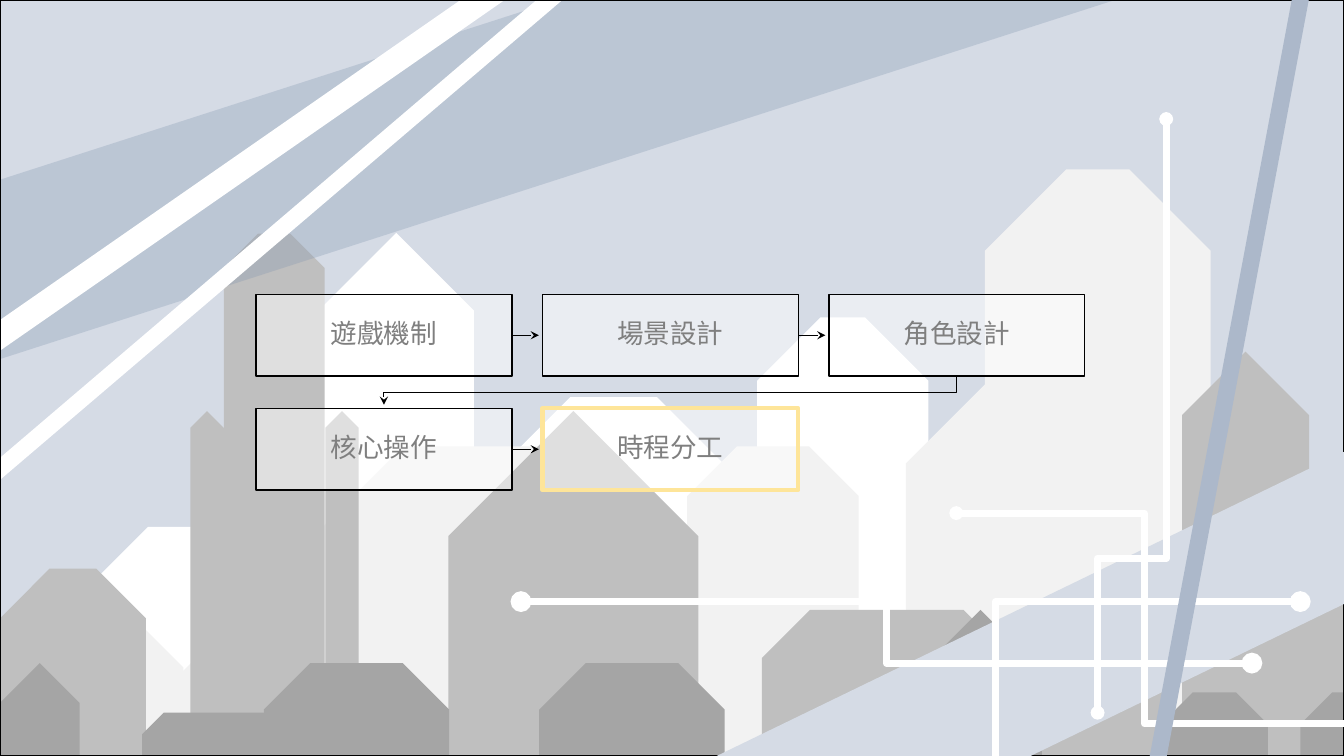
from dataclasses import dataclass

from lxml.etree import SubElement
from pptx import Presentation
from pptx.dml.color import RGBColor
from pptx.enum.shapes import MSO_CONNECTOR as Connector, MSO_SHAPE as Shape
from pptx.enum.text import MSO_ANCHOR as Anchor, PP_ALIGN as Align
from pptx.oxml.ns import qn
from pptx.util import Cm, Pt


@dataclass(frozen=True)
class Theme:
    sky: str = "D5DBE5"
    beam: str = "8296B0"
    pole: str = "ACB8CA"
    white: str = "FFFFFF"
    pale: str = "F2F2F2"
    silver: str = "BFBFBF"
    gray: str = "A5A5A5"
    black: str = "000000"
    label: str = "7F7F7F"
    highlight: str = "FEE599"
    font: str = "Noto Sans CJK TC"
    label_size: float = 19


THEME = Theme()
WIDTH, HEIGHT = 33.87, 19.05

# Skyline layers from back to front: (left, top, width, corner cut) in cm
SKYLINE = [
    (THEME.white, [
        (31.72, 15.7, 2.13, 0.5), (28.93, 10.34, 3.05, 0.33), (19.08, 8, 4.32, 0.37),
        (11.25, 10.01, 8.43, 0.37), (8.03, 5.87, 3.91, 0.5), (2.31, 13.28, 4.57, 0.31)]),
    (THEME.pale, [
        (22.83, 9.52, 4.32, 0.5), (28.14, 11.25, 3.66, 0.36), (24.82, 4.27, 5.69, 0.36),
        (17.32, 11.25, 4.32, 0.29), (7.9, 11.25, 8.23, 0.29), (4.14, 15.72, 4.57, 0.5),
        (0.05, 15.72, 4.57, 0.33)]),
    (THEME.silver, [
        (29.82, 12.32, 7.24, 0.42), (25.48, 15.37, 3.91, 0.33), (29.79, 8.86, 3.2, 0.5),
        (19.2, 15.37, 6.3, 0.33), (11.3, 10.36, 6.3, 0.5), (8.2, 10.36, 0.84, 0.5),
        (5.64, 5.89, 2.54, 0.34), (4.8, 10.36, 0.84, 0.5), (0, 14.33, 3.68, 0.34)]),
    (THEME.gray, [
        (32.77, 17.45, 5.56, 0.5), (29.26, 17.45, 2.69, 0.5), (23.16, 15.37, 3.1, 0.5),
        (13.59, 16.71, 4.67, 0.5), (21.11, 17.45, 2.51, 0.5), (6.65, 16.71, 4.67, 0.5),
        (3.58, 17.96, 3.89, 0.5), (0, 16.71, 2.01, 0.5)]),
]

# Circuit traces: start, end, bend position, vertical, dot size
TRACES = [
    ((32.77, 15.16), (21.64, 19.74), 0.69, False, "med"),
    ((13.13, 15.16), (31.55, 16.71), 0.5, False, "med"),
    ((29.39, 3), (27.66, 17.96), 0.74, True, "sm"),
    ((24.1, 12.93), (35.13, 18.24), 0.43, False, "sm"),
]

# Flow grid
STEPS = ["遊戲機制", "場景設計", "角色設計", "核心操作", "時程分工"]
COLUMNS = 3
BOX_WIDTH, BOX_HEIGHT = 6.45, 2.06
FLOW_LEFT, FLOW_TOP = 6.45, 7.42
COLUMN_STEP, ROW_STEP = 7.22, 2.87
ARROW_GAP = 0.09


def add_block(slide, preset, left, top, width, height, fill=None, opacity=100,
              line=None, line_width=1, adjustments=()):
    shape = slide.shapes.add_shape(preset, Cm(left), Cm(top), Cm(width), Cm(height))
    shape.shadow.inherit = False
    for index, value in enumerate(adjustments):
        shape.adjustments[index] = value
    if fill:
        shape.fill.solid()
        shape.fill.fore_color.rgb = RGBColor.from_string(fill)
        if opacity < 100:
            color = shape.fill._xPr.find(qn("a:solidFill"))[0]
            SubElement(color, qn("a:alpha"), val=str(opacity * 1000))
    else:
        shape.fill.background()
    if line:
        shape.line.color.rgb = RGBColor.from_string(line)
        shape.line.width = Pt(line_width)
    else:
        shape.line.fill.background()
    return shape


def add_line(slide, start, end, color, width, kind=Connector.STRAIGHT):
    connector = slide.shapes.add_connector(kind, *map(Cm, start + end))
    connector.line.color.rgb = RGBColor.from_string(color)
    connector.line.width = Pt(width)
    SubElement(connector._element.spPr, qn("a:effectLst"))
    return connector


def add_elbow(slide, start, end, bend, vertical, color, width):
    """A vertical elbow runs down and to the left: a box turned by 90 degrees."""
    if vertical:
        center_x, center_y = (start[0] + end[0]) / 2, (start[1] + end[1]) / 2
        half_x, half_y = (end[1] - start[1]) / 2, (start[0] - end[0]) / 2
        start = (center_x - half_x, center_y - half_y)
        end = (center_x + half_x, center_y + half_y)
    connector = add_line(slide, start, end, color, width, Connector.ELBOW)
    properties = connector._element.spPr
    if vertical:
        properties.find(qn("a:xfrm")).set("rot", "5400000")
    guides = properties.find(qn("a:prstGeom")).find(qn("a:avLst"))
    SubElement(guides, qn("a:gd"), name="adj1", fmla=f"val {round(bend * 100000)}")
    return connector


def add_end(connector, end, kind, size="med"):
    outline = connector.line._get_or_add_ln()
    SubElement(outline, qn(f"a:{end}"), type=kind, w=size, len=size)


def add_skyline(slide):
    for color, buildings in SKYLINE:
        for left, top, width, cut in buildings:
            add_block(slide, Shape.SNIP_2_SAME_RECTANGLE, left, top, width, HEIGHT - top,
                      color, adjustments=(cut, 0))


def add_traces(slide):
    for start, end, bend, vertical, dot in TRACES:
        trace = add_elbow(slide, start, end, bend, vertical, THEME.white, 5)
        add_end(trace, "headEnd", "oval", dot)
        add_end(trace, "tailEnd", "oval", dot)


def box_position(index):
    row, column = divmod(index, COLUMNS)
    return FLOW_LEFT + column * COLUMN_STEP, FLOW_TOP + row * ROW_STEP


def add_step(slide, index, label):
    box = add_block(slide, Shape.RECTANGLE, *box_position(index), BOX_WIDTH, BOX_HEIGHT,
                    THEME.white, 50, THEME.black, 1)
    frame = box.text_frame
    frame.word_wrap = True
    frame.vertical_anchor = Anchor.MIDDLE
    frame.margin_left = frame.margin_right = Cm(0.38)
    frame.margin_top = frame.margin_bottom = Cm(0.38)
    frame.text = label
    paragraph = frame.paragraphs[0]
    paragraph.alignment = Align.CENTER
    paragraph.line_spacing = 0.9
    font = paragraph.runs[0].font
    font.size = Pt(THEME.label_size)
    font.color.rgb = RGBColor.from_string(THEME.label)
    font.name = THEME.font
    SubElement(font._element, qn("a:ea"), typeface=THEME.font)


def add_flow_arrow(slide, index):
    """Arrow from one step to the next, bending where a new row begins."""
    left, top = box_position(index)
    next_left, next_top = box_position(index + 1)
    if top == next_top:
        middle = top + BOX_HEIGHT / 2
        arrow = add_line(slide, (left + BOX_WIDTH, middle), (next_left - ARROW_GAP, middle),
                         THEME.black, 0.75)
    else:
        start = (left + BOX_WIDTH / 2, top + BOX_HEIGHT)
        end = (next_left + BOX_WIDTH / 2, next_top - ARROW_GAP)
        arrow = add_elbow(slide, start, end, 0.57, True, THEME.black, 0.75)
    add_end(arrow, "tailEnd", "stealth")


def main():
    presentation = Presentation()
    presentation.slide_width, presentation.slide_height = Cm(WIDTH), Cm(HEIGHT)
    slide = presentation.slides.add_slide(presentation.slide_layouts[6])

    # Backdrop
    slide.background.fill.solid()
    slide.background.fill.fore_color.rgb = RGBColor.from_string(THEME.sky)
    add_skyline(slide)

    # Light beams and frame
    add_block(slide, Shape.DIAGONAL_STRIPE, 0, 0, 11.23, 3.86, THEME.sky, adjustments=(0,))
    add_block(slide, Shape.DIAGONAL_STRIPE, 0.03, 0, 28.07, 9.04, THEME.beam, 30,
              adjustments=(0.5,))
    add_line(slide, (14.35, -0.43), (-0.23, 12.01), THEME.white, 12)
    add_line(slide, (12.78, -0.43), (-0.23, 8.61), THEME.white, 18)
    add_block(slide, Shape.RECTANGLE, 0, 0, WIDTH, HEIGHT, line=THEME.black)

    # Road and circuit traces
    road = add_block(slide, Shape.DIAGONAL_STRIPE, 18.06, 11.38, 15.82, 7.67, THEME.sky,
                     adjustments=(0.5,))
    road.rotation = 180
    add_traces(slide)

    # Flow of steps
    for index, label in enumerate(STEPS):
        if index < len(STEPS) - 1:
            add_flow_arrow(slide, index)
        add_step(slide, index, label)

    # Pole and highlight of the current step
    add_line(slide, (33.05, -1.5), (29.06, 19.74), THEME.pole, 12)
    add_block(slide, Shape.RECTANGLE, *box_position(len(STEPS) - 1), BOX_WIDTH, BOX_HEIGHT,
              line=THEME.highlight, line_width=3)

    presentation.save("out.pptx")


if __name__ == "__main__":
    main()
